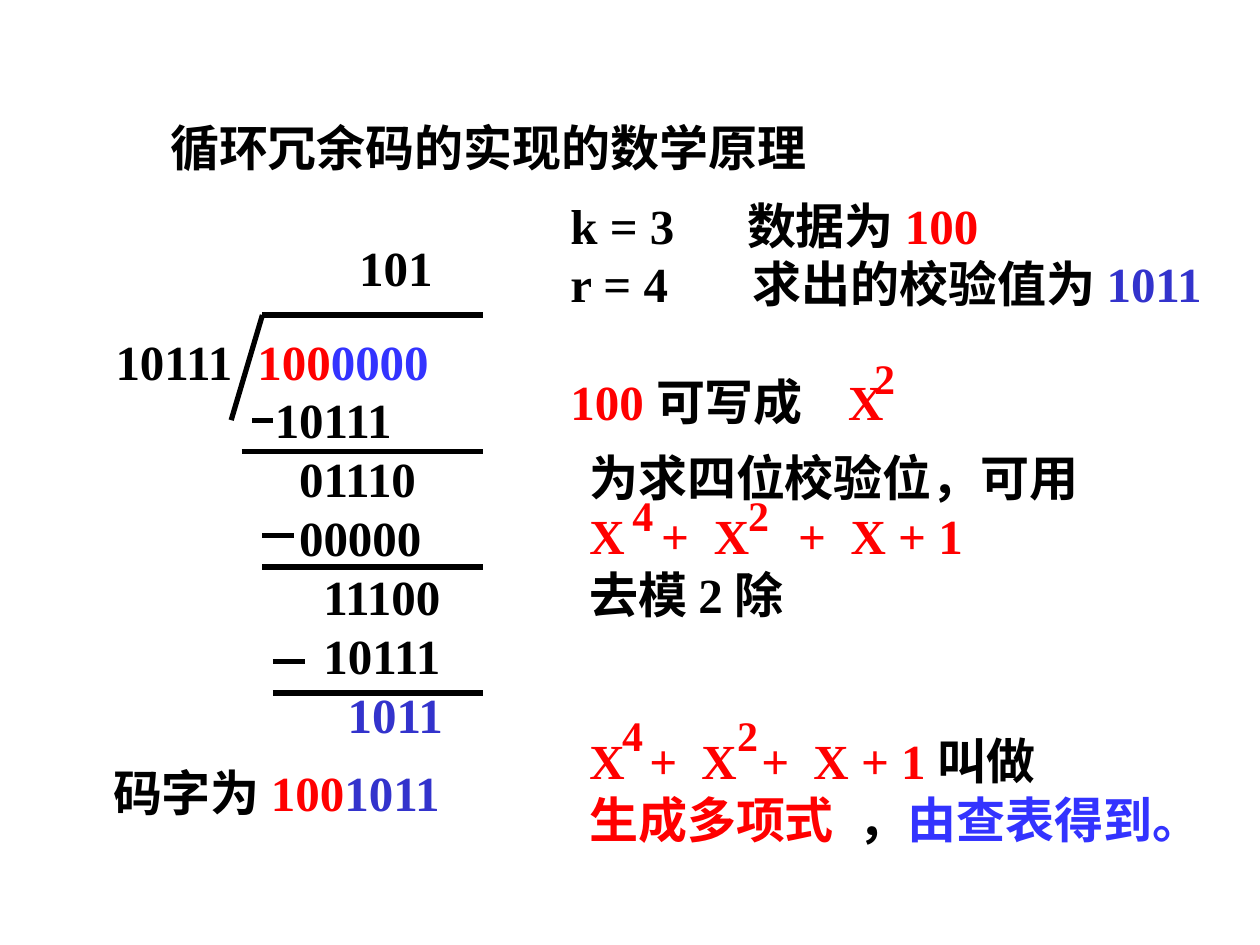
from lxml import etree
from pptx import Presentation
from pptx.dml.color import RGBColor
from pptx.enum import shapes, text
from pptx.oxml import ns
from pptx.util import Cm, Pt

BLACK = RGBColor(0x00, 0x00, 0x00)
RED = RGBColor(0xFF, 0x00, 0x00)
BLUE = RGBColor(0x33, 0x33, 0xFF)
NAVY = RGBColor(0x33, 0x33, 0xCC)


class Board:
    font = "Times New Roman"
    size = 28
    small = 24
    rule = 3

    def __init__(self, slide):
        self.slide = slide

    def text(self, box, *rows, size=size, wrap=True):
        shape = self.slide.shapes.add_textbox(*map(Cm, box))
        frame = shape.text_frame
        frame.word_wrap = wrap
        frame.auto_size = text.MSO_AUTO_SIZE.SHAPE_TO_FIT_TEXT
        for i, row in enumerate(rows):
            par = frame.paragraphs[0] if i == 0 else frame.add_paragraph()
            self.row(par, size, **row)

    def row(self, par, size, runs, tabs=(), left=0, before=0):
        """Fill a paragraph; tabs and left are in cm, before in points."""
        props = par._p.get_or_add_pPr()
        if left:
            props.set("marL", str(Cm(left)))
            props.set("indent", "0")
        if tabs:
            stops = etree.SubElement(props, ns.qn("a:tabLst"))
            for pos in tabs:
                etree.SubElement(stops, ns.qn("a:tab"), pos=str(Cm(pos)), algn="l")
        if before:
            par.space_before = Pt(before)
        for words, color in runs:
            run = par.add_run()
            run.text = words
            run.font.name = self.font
            run.font.size = Pt(size)
            run.font.bold = True
            run.font.color.rgb = color

    def label(self, box, *runs):
        self.text(box, dict(runs=runs), wrap=False)

    def power(self, digit, x, y):
        self.text((x, y, 0.91, 1.27), dict(runs=[(digit, RED)]),
                  size=self.small, wrap=False)

    def line(self, x1, y1, x2, y2):
        line = self.slide.shapes.add_connector(
            shapes.MSO_CONNECTOR.STRAIGHT, Cm(x1), Cm(y1), Cm(x2), Cm(y2))
        line.line.color.rgb = BLACK
        line.line.width = Pt(self.rule)
        etree.SubElement(line._element.spPr, ns.qn("a:effectLst"))


def divide(board):
    """Long division of the padded data by the generator."""
    start, step = 3.21, 0.49
    rows = [dict(runs=[("10111\t", BLACK), ("100", RED), ("0000", BLUE)],
                 tabs=[2.86])]
    steps = [("10111", 0, BLACK), ("01110", 1, BLACK), ("00000", 1, BLACK),
             ("11100", 2, BLACK), ("10111", 2, BLACK), ("1011", 3, NAVY)]
    for digits, shift, color in steps:
        rows.append(dict(runs=[(digits, color)], left=start + shift * step))
    board.text((2.08, 6.55, 7.26, 8.56), *rows)

    board.line(5.29, 6.35, 4.66, 8.47)
    end = 9.74
    for x, y in [(5.29, 6.35), (4.87, 9.1), (5.29, 11.43), (5.5, 13.97)]:
        board.line(x, y, end, y)
    for x, y, width in [(5.08, 8.47, 0.42), (5.29, 10.8, 0.64), (5.5, 13.34, 0.64)]:
        board.line(x, y, x + width, y)
    board.label((6.99, 4.66, 1.98, 1.45), ("101", BLACK))
    board.label((2.03, 15.24, 7.37, 1.45),
                ("码字为 ", BLACK), ("100", RED), ("1011", NAVY))


def explain(board):
    """Notes on the data, the check bits and the generator."""
    board.text(
        (11.25, 3.81, 13.7, 5),
        dict(runs=[("k = 3\t数据为 ", BLACK), ("100", RED)], tabs=[3.56]),
        dict(runs=[("r = 4\t求出的校验值为 ", BLACK), ("1011", NAVY)], tabs=[3.68]),
        dict(runs=[("100 ", RED), ("可写成\t", BLACK), ("X", RED)],
             tabs=[5.6], before=33.6))
    board.text(
        (11.63, 8.89, 12.07, 3.81),
        dict(runs=[("为求四位校验位，可用", BLACK)]),
        dict(runs=[("X\t+\tX\t+\tX + 1", RED)], tabs=[1.45, 2.51, 4.21, 5.27]),
        dict(runs=[("去模 2 除", BLACK)]))
    board.text(
        (11.63, 14.61, 12.42, 2.64),
        dict(runs=[("X\t+\tX\t+\tX + 1 ", RED), ("叫做", BLACK)],
             tabs=[1.21, 2.26, 3.47, 4.52]),
        dict(runs=[("生成多项式\t", RED), ("，", BLACK), ("由查表得到。", BLUE)],
             tabs=[5.43]))
    for digit, x, y in [("2", 17.37, 6.99), ("4", 12.5, 9.74), ("2", 14.83, 9.74),
                        ("4", 12.29, 14.18), ("2", 14.61, 14.18)]:
        board.power(digit, x, y)


def main():
    deck = Presentation()
    deck.slide_width, deck.slide_height = Cm(25.4), Cm(19.05)
    board = Board(deck.slides.add_slide(deck.slide_layouts[6]))
    board.label((3.18, 2.24, 13.34, 1.45), ("循环冗余码的实现的数学原理", BLACK))
    divide(board)
    explain(board)
    deck.save("out.pptx")


if __name__ == "__main__":
    main()
